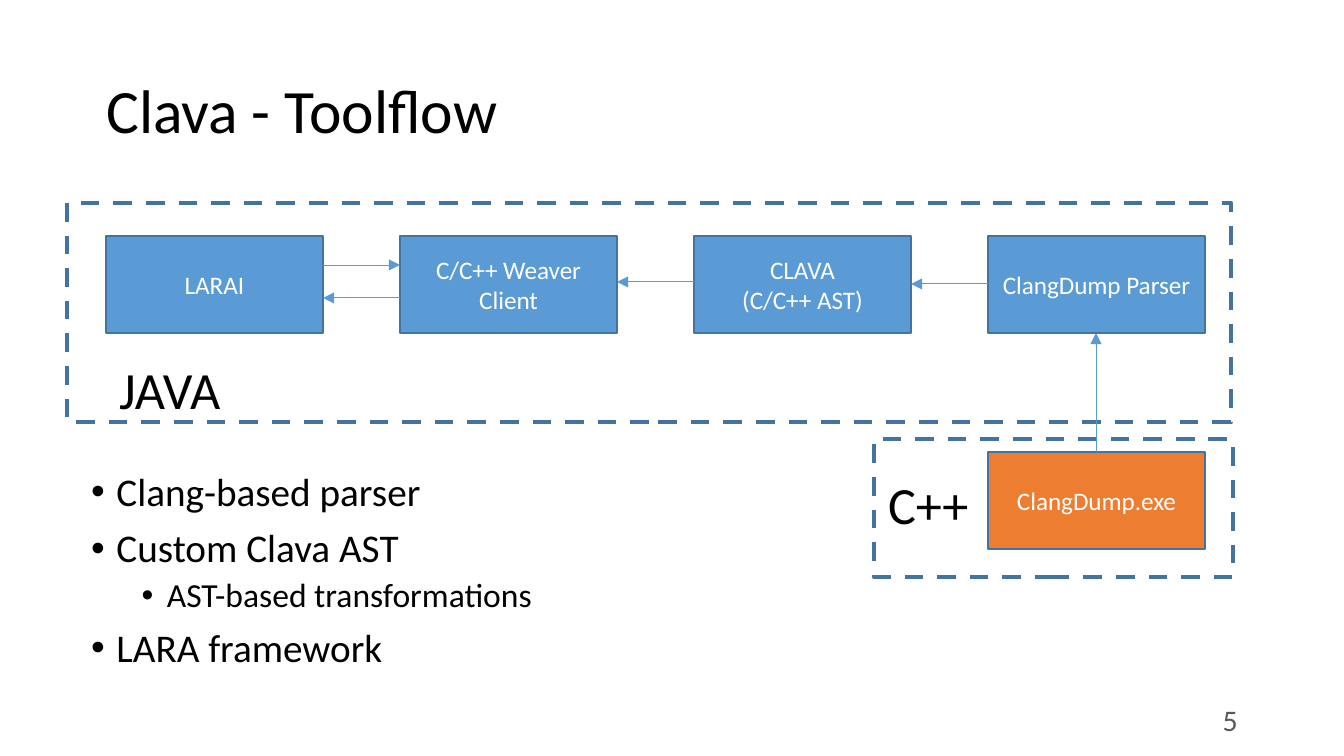
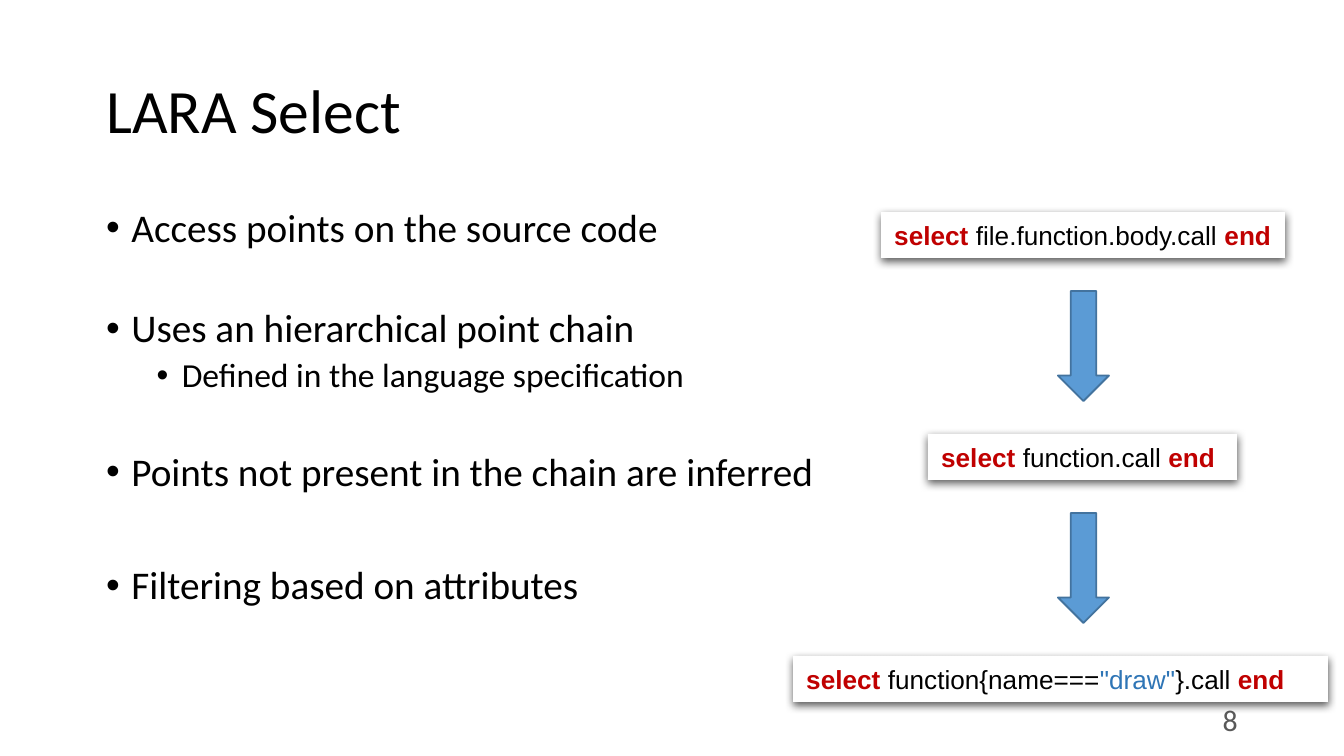
"""Build two slides: the Clava tool flow and the LARA select statement."""
from lxml import etree
from pptx import Presentation
from pptx.dml.color import RGBColor
from pptx.enum.dml import MSO_LINE
from pptx.enum.shapes import MSO_CONNECTOR, MSO_SHAPE
from pptx.enum.text import MSO_ANCHOR, PP_ALIGN
from pptx.oxml.ns import qn
from pptx.util import Pt

RECT, DOWN = MSO_SHAPE.RECTANGLE, MSO_SHAPE.DOWN_ARROW
STRAIGHT, DASH = MSO_CONNECTOR.STRAIGHT, MSO_LINE.DASH
TOP, MIDDLE = MSO_ANCHOR.TOP, MSO_ANCHOR.MIDDLE
LEFT, CENTER, RIGHT = PP_ALIGN.LEFT, PP_ALIGN.CENTER, PP_ALIGN.RIGHT
SCALE = 914400 / 134.4
COLORS = {
    "black": "000000", "white": "FFFFFF", "gray": "595959",
    "blue": "5B9BD5", "edge": "43739E", "orange": "ED7D31",
    "red": "C00000", "value": "2E75B6",
}
HUES = {name: RGBColor.from_string(code) for name, code in COLORS.items()}


def write(shape, lines, size, color="black", align=LEFT, anchor=TOP):
    """Fill a shape with one paragraph per line and return the paragraphs."""
    frame = shape.text_frame
    frame.word_wrap = True
    frame.vertical_anchor = anchor
    frame.text = "\n".join(lines)
    for para in frame.paragraphs:
        para.alignment = align
        para.font.size = Pt(size)
        para.font.name = "Calibri"
        para.font.color.rgb = HUES[color]
    return frame.paragraphs


def draw(slide, kind, at, fill=None, line=None, width=1):
    """Add a preset shape without a shadow."""
    shape = slide.shapes.add_shape(kind, *[round(v * SCALE) for v in at])
    shape.shadow.inherit = False
    if fill:
        shape.fill.solid()
        shape.fill.fore_color.rgb = HUES[fill]
    else:
        shape.fill.background()
    if line:
        shape.line.color.rgb = HUES[line]
        shape.line.width = Pt(width)
    else:
        shape.line.fill.background()
    return shape


deck = Presentation()
deck.slide_width, deck.slide_height = round(1344 * SCALE), round(756 * SCALE)

pages = [
    ("Clava - Toolflow", "5", (78, 466, 771, 276), [
        ("Clang-based parser", 0, 7.5),
        ("Custom Clava AST", 0, 7.5),
        ("AST-based transformations", 1, 3.8),
        ("LARA framework", 0, 7.5),
    ]),
    ("LARA Select", "8", (93, 202, 823, 480), [
        ("Access points on the source code", 0, 7.5),
        ("Uses an hierarchical point chain", 0, 31),
        ("Defined in the language specification", 1, 3.8),
        ("Points not present in the chain are inferred", 0, 31),
        ("Filtering based on attributes", 0, 38),
    ]),
]
slides = []
for title, number, area, points in pages:
    slide = deck.slides.add_slide(deck.slide_layouts[6])
    slides.append(slide)
    head, foot, body = [
        slide.shapes.add_textbox(*[round(v * SCALE) for v in at])
        for at in ((93, 40, 1158, 147), (949, 700, 302, 40), area)
    ]
    write(head, [title], 33, anchor=MIDDLE)[0].line_spacing = 0.9
    write(foot, [number], 16, "gray", RIGHT, MIDDLE)
    paras = write(body, [point[0] for point in points], 21)
    for para, (_, level, space) in zip(paras, points):
        para.level = level
        para.line_spacing = 0.9
        para.space_before = Pt(space)
        para.font.size = Pt(18 if level else 21)
        props = para._p.get_or_add_pPr()
        props.set("marL", str(Pt(40.5 if level else 13.5)))
        props.set("indent", str(-Pt(13.5)))
        font = etree.Element(qn("a:buFont"), typeface="Arial")
        mark = etree.Element(qn("a:buChar"), char="•")
        props.find(qn("a:defRPr")).addprevious(font)
        font.addnext(mark)

flow, select = slides

for at in ((67, 203, 1164, 219), (874, 439, 359, 138)):
    draw(flow, RECT, at, line="edge", width=2.5).line.dash_style = DASH

stages = [
    ["LARAI"], ["C/C++ Weaver", "Client"],
    ["CLAVA", "(C/C++ AST)"], ["ClangDump Parser"],
]
boxes = [(lines, 106 + 294 * i, 236, "blue") for i, lines in enumerate(stages)]
boxes.append((["ClangDump.exe"], 988, 452, "orange"))
for lines, x, y, fill in boxes:
    box = draw(flow, RECT, (x, y, 217, 97), fill, "edge")
    write(box, lines, 13.5, "white", CENTER, MIDDLE)

for name, at in (("JAVA", (106, 351, 204, 56)), ("C++", (875, 466, 125, 77))):
    label = flow.shapes.add_textbox(*[round(v * SCALE) for v in at])
    write(label, [name], 28)

for ends in (
    (323, 265, 400, 265), (400, 298, 323, 298), (694, 282, 617, 282),
    (988, 284, 911, 284), (1096, 452, 1096, 333),
):
    link = flow.shapes.add_connector(STRAIGHT, *[round(v * SCALE) for v in ends])
    link.line.color.rgb = HUES["blue"]
    link.line.width = Pt(0.5)
    etree.SubElement(link.line._get_or_add_ln(), qn("a:tailEnd"), type="triangle")
    etree.SubElement(link._element.spPr, qn("a:effectLst"))

codes = [
    (881, 404, [("file.function.body.call ", "black")]),
    (928, 309, [("function.call ", "black")]),
    (793, 535, [("function{name===", "black"), ('"draw"', "value"),
                ("}.call ", "black")]),
]
for i, (x, width, parts) in enumerate(codes):
    y = 212 + 222 * i
    card = draw(select, RECT, (x, y, width, 46), "white")
    effects = card._element.spPr.find(qn("a:effectLst"))
    shade = etree.SubElement(effects, qn("a:outerShdw"), blurRad=str(Pt(4.5)),
                             dist=str(Pt(1.5)), dir="5400000", rotWithShape="0")
    tint = etree.SubElement(shade, qn("a:srgbClr"), val=COLORS["black"])
    etree.SubElement(tint, qn("a:alpha"), val="63000")
    para = write(card, [""], 14, anchor=MIDDLE)[0]
    para.font.name = "Arial"
    for text, color in [("select ", "red"), *parts, ("end", "red")]:
        run = para.add_run()
        run.text = text
        run.font.bold = color == "red"
        run.font.color.rgb = HUES[color]
    if i < 2:
        draw(select, DOWN, (1058, y + 79, 51, 110), "blue", "edge")

deck.save("out.pptx")
